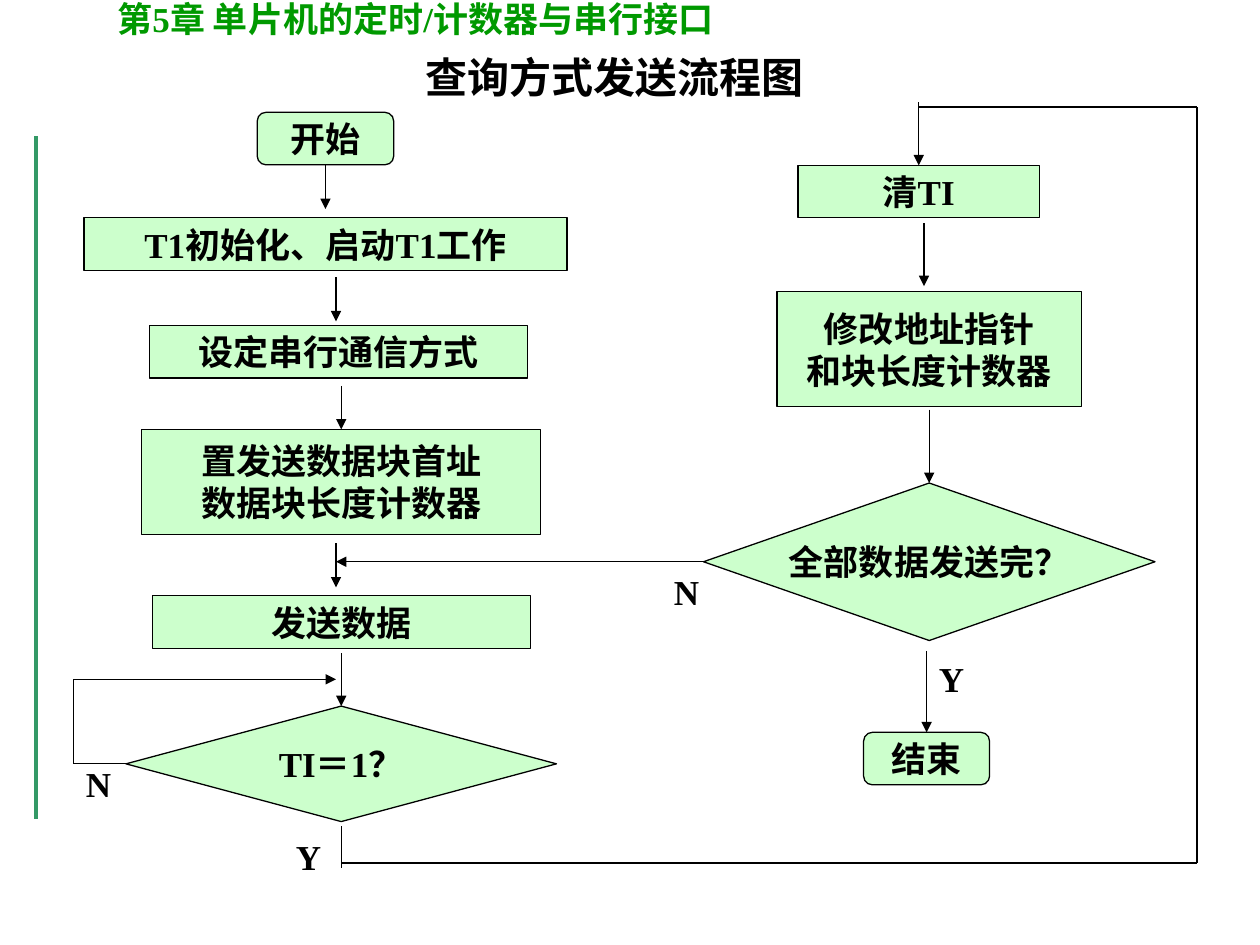
"""Build the flowchart slide for sending serial data by polling."""
import dataclasses

import lxml.etree
import pptx
import pptx.dml.color
import pptx.enum.shapes
import pptx.enum.text
import pptx.oxml.ns
import pptx.util

COLS, ROWS = 120, 90
COLORS = {"ink": "000000", "node": "CCFFCC", "head": "009900", "rule": "339966"}
SERIF, SANS = "Times New Roman", "Arial"
KINDS = pptx.enum.shapes.MSO_SHAPE
STEP = KINDS.FLOWCHART_PROCESS
TEST = KINDS.FLOWCHART_DECISION
TERM = KINDS.FLOWCHART_ALTERNATE_PROCESS
ALIGN = pptx.enum.text.PP_ALIGN
ANCHOR = pptx.enum.text.MSO_ANCHOR
TOP, LEFT, BOTTOM = 0, 1, 2
CELL = pptx.util.Inches(10) // COLS


@dataclasses.dataclass
class Box:
    """A region of the slide, measured in grid cells."""

    left: float
    top: float
    width: float
    height: float

    def point(self, x, y):
        """Turn a cell of this box into slide lengths."""
        return round((self.left + x) * CELL), round((self.top + y) * CELL)

    def area(self, x, y, width, height):
        """Turn a block of cells into left, top, width and height."""
        return (*self.point(x, y), round(width * CELL), round(height * CELL))


def color(name):
    """Return the named colour."""
    return pptx.dml.color.RGBColor.from_string(COLORS[name])


def write(shape, text, size=20, font=SERIF, ink="ink", align=ALIGN.LEFT,
          anchor=ANCHOR.TOP, wrap=True):
    """Fill a shape with formatted bold text, one paragraph a line."""
    frame = shape.text_frame
    frame.text = text
    frame.word_wrap = wrap
    frame.auto_size = pptx.enum.text.MSO_AUTO_SIZE.NONE
    frame.vertical_anchor = anchor
    for para in frame.paragraphs:
        para.alignment = align
        para.font.size = pptx.util.Pt(size)
        para.font.name = font
        para.font.bold = True
        para.font.color.rgb = color(ink)


def label(slide, box, text, *area, **look):
    """Add a text box."""
    write(slide.shapes.add_textbox(*box.area(*area)), text, **look)


def node(slide, box, kind, text, mid, top, width, height):
    """Add a flowchart node centred on a column."""
    area = box.area(mid - width / 2, top, width, height)
    shape = slide.shapes.add_shape(kind, *area)
    shape.shadow.inherit = False
    shape.fill.solid()
    shape.fill.fore_color.rgb = color("node")
    shape.line.color.rgb = color("ink")
    shape.line.width = pptx.util.Pt(0.75)
    write(shape, text, align=ALIGN.CENTER, anchor=ANCHOR.MIDDLE, wrap=False)
    return shape


def link(slide, box, start, end, head=True, begin=None, finish=None,
         ink="ink", width=0.75):
    """Draw a straight line, joined to a node and side where given."""
    line = slide.shapes.add_connector(
        pptx.enum.shapes.MSO_CONNECTOR.STRAIGHT,
        *box.point(*start), *box.point(*end))
    if begin:
        line.begin_connect(*begin)
    if finish:
        line.end_connect(*finish)
    line.line.color.rgb = color(ink)
    line.line.width = pptx.util.Pt(width)
    qn = pptx.oxml.ns.qn
    props = line.element.spPr
    if head:
        tail = lxml.etree.SubElement(props.find(qn("a:ln")), qn("a:tailEnd"))
        tail.set("type", "triangle")
    lxml.etree.SubElement(props, qn("a:effectLst"))


def header(slide, box):
    """Place the chapter line, the title and the side rule."""
    link(slide, box, (3.4, 13), (3.4, 78), head=False, ink="rule", width=2.25)
    label(slide, box, "第5章 单片机的定时/计数器与串行接口",
          10, -0.85, 69, 5.25, ink="head")
    title = slide.shapes.title
    title.left, title.top, title.width, title.height = box.area(36.5, 4.3, 44, 6)
    write(title, "查询方式发送流程图", size=24, font=SANS, align=ALIGN.CENTER)


def send(slide, box):
    """Place the set-up steps and the wait loop."""
    mid = 25.5
    first = node(slide, box, TERM, "开始", 24, 0.7, 13, 5)
    node(slide, box, STEP, "T1初始化、启动T1工作", 24, 10.75, 46, 5)
    node(slide, box, STEP, "设定串行通信方式", 25.25, 21, 36, 5)
    block = node(slide, box, STEP, "置发送数据块首址\n数据块长度计数器",
                 mid, 30.9, 38, 10)
    node(slide, box, STEP, "发送数据", mid, 46.75, 36, 5)
    test = node(slide, box, TEST, "TI＝1？", mid, 57.25, 41, 11)
    link(slide, box, (24, 5.7), (24, 9.9), begin=(first, BOTTOM))
    link(slide, box, (25, 16.4), (25, 20.6))
    link(slide, box, (mid, 26.75), (mid, 30.9), finish=(block, TOP))
    link(slide, box, (25, 41.75), (25, 45.95))
    link(slide, box, (mid, 52.2), (mid, 57.25), finish=(test, TOP))
    link(slide, box, (5, 62.75), (0, 62.75), head=False, begin=(test, LEFT))
    link(slide, box, (0, 62.75), (0, 54.7), head=False)
    link(slide, box, (0, 54.7), (25, 54.7))
    label(slide, box, "N", 0, 62, 8, 5.25)
    label(slide, box, "Y", 20, 69, 8, 5.25)


def check(slide, box):
    """Place the steps that follow each sent byte."""
    mid = 21.5
    clear = node(slide, box, STEP, "清TI", 20.5, 6.75, 23, 5)
    node(slide, box, STEP, "修改地址指针\n和块长度计数器", mid, 18.75, 29, 11)
    test = node(slide, box, TEST, "全部数据发送完？", mid, 37, 43, 15)
    last = node(slide, box, TERM, "结束", 21.25, 60.75, 12, 5)
    link(slide, box, (20.5, 0.75), (20.5, 6.75), finish=(clear, TOP))
    link(slide, box, (21, 12.25), (21, 18.25))
    link(slide, box, (mid, 30), (mid, 37), finish=(test, TOP))
    link(slide, box, (21.25, 53), (21.25, 60.75), finish=(last, TOP))
    link(slide, box, (0, 44.5), (-35, 44.5), begin=(test, LEFT))
    label(slide, box, "Y", 21.25, 53, 6, 5.25)
    label(slide, box, "N", -4, 44.75, 6, 5.25)


def route(slide, box):
    """Draw the line from the wait loop to the top of the second column."""
    right, low = box.width, box.height
    corners = [((0, low - 4), (0, low)), ((0, low - 0.5), (right, low - 0.5)),
               ((right, low - 0.5), (right, 0)), ((55, 0), (right, 0))]
    for start, end in corners:
        link(slide, box, start, end, head=False)


def main():
    """Build and save the slide."""
    deck = pptx.Presentation()
    deck.slide_width, deck.slide_height = COLS * CELL, ROWS * CELL
    slide = deck.slides.add_slide(deck.slide_layouts.get_by_name("Title Only"))
    header(slide, Box(0, 0, COLS, ROWS))
    send(slide, Box(7, 10, 46, 75))
    check(slide, Box(67, 9, 43, 66))
    route(slide, Box(32.5, 10.2, 81.5, 72.5))
    deck.save("out.pptx")


if __name__ == "__main__":
    main()
